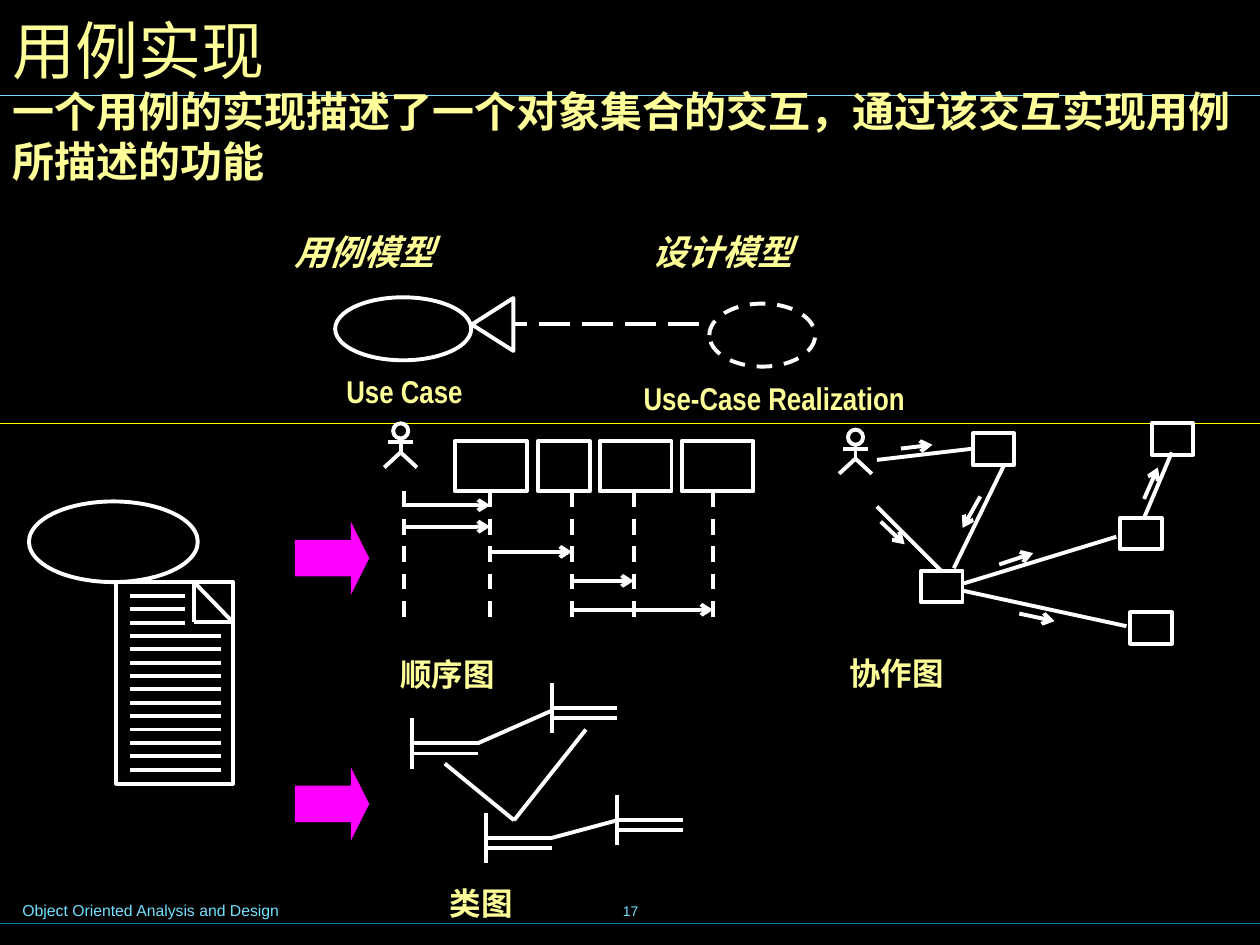
import pptx
import pptx.util
import pptx.dml.color
import pptx.enum.dml
import pptx.enum.shapes
import pptx.enum.text
import pptx.oxml
import pptx.oxml.ns

PX = 9144  # EMU per px, 100 px to the inch
COLORS = {"back": "000000", "ink": "FFFFFF", "text": "FFFF99", "rule": "73E1FF",
          "foot_rule": "007E9F", "divider": "FFFF00", "arrow": "FF00FF"}
SHAPE = pptx.enum.shapes.MSO_SHAPE
DASH = pptx.enum.dml.MSO_LINE
LABEL = {"size": 18, "bold": True, "name": "Arial Narrow"}
HEADING = {"size": 20, "bold": True, "italic": True, "name": "Arial Narrow"}


def color(name):
    return pptx.dml.color.RGBColor.from_string(COLORS[name])


def px(*values):
    return [round(value * PX) for value in values]


def style_line(line, ink="ink", width=2.25, dash=None):
    line.color.rgb = color(ink)
    line.width = pptx.util.Pt(width)
    if dash:
        line.dash_style = dash


def add_text(page, box, area, text, font, ink="text", wrap=True, grow=True,
             align=None, anchor=None):
    """Place one paragraph in an area measured from the box corner."""
    left, top, width, height = area
    label = page.shapes.add_textbox(*px(box[0] + left, box[1] + top, width, height))
    frame = label.text_frame
    sizing = pptx.enum.text.MSO_AUTO_SIZE
    settings = {"word_wrap": wrap, "vertical_anchor": anchor,
                "auto_size": sizing.SHAPE_TO_FIT_TEXT if grow else sizing.NONE}
    for key, value in settings.items():
        setattr(frame, key, value)
    para = frame.paragraphs[0]
    para.alignment = align
    span = para.add_run()
    span.text = text
    for key, value in font.items():
        setattr(span.font, key, pptx.util.Pt(value) if key == "size" else value)
    span.font.color.rgb = color(ink)


def add_outline(page, box, kind, area, dash=None):
    left, top, width, height = area
    shape = page.shapes.add_shape(kind, *px(box[0] + left, box[1] + top, width, height))
    shape.shadow.inherit = False
    shape.fill.background()
    style_line(shape.line, dash=dash)
    return shape


def add_line(page, box, x1, y1, x2, y2, arrow=False, **style):
    x, y = box[:2]
    line = page.shapes.add_connector(pptx.enum.shapes.MSO_CONNECTOR.STRAIGHT,
                                     *px(x + x1, y + y1, x + x2, y + y2))
    style_line(line.line, **style)
    if arrow:
        tail = pptx.oxml.parse_xml(
            f'<a:tailEnd {pptx.oxml.ns.nsdecls("a")} type="arrow"/>')
        line.line._get_or_add_ln().append(tail)
    effects = pptx.oxml.parse_xml(f'<a:effectLst {pptx.oxml.ns.nsdecls("a")}/>')
    line._element.spPr.append(effects)


def draw_actor(page, box):
    add_outline(page, box, SHAPE.OVAL, (7, 0, 12, 12))
    add_line(page, box, 13, 12, 13, 23)
    add_line(page, box, 3, 15, 23, 15)
    legs = [px(box[0] + x, box[1] + y) for x, y in ((0, 35), (13, 23), (26, 35))]
    builder = page.shapes.build_freeform(*legs[0])
    builder.add_line_segments(legs[1:], close=False)
    shape = builder.convert_to_shape()
    shape.shadow.inherit = False
    shape.fill.background()
    style_line(shape.line)


def draw_frame(page, box):
    """Title, summary, footer and the horizontal rules."""
    width = box[2]
    align = pptx.enum.text.PP_ALIGN.CENTER
    middle = pptx.enum.text.MSO_ANCHOR.MIDDLE
    add_text(page, box, (8, 710, 510, 25), "Object Oriented Analysis and Design",
             {"size": 9, "name": "Arial"}, "rule")
    add_text(page, box, (342, 698, 317, 50), "17", {"size": 8, "name": "Arial"}, "rule",
             wrap=False, grow=False, align=align, anchor=middle)
    for y, ink in ((733, "foot_rule"), (76, "rule"), (336, "divider")):
        add_line(page, box, 0, y, width, y, ink=ink, width=0.75)
    add_text(page, box, (0, 0, 993, 78), "用例实现",
             {"size": 36, "name": "Times New Roman"}, grow=False, anchor=middle)
    add_text(page, box, (0, 63, width, 90),
             "一个用例的实现描述了一个对象集合的交互，通过该交互实现用例所描述的功能",
             {**LABEL, "size": 24})


def draw_models(page, box):
    """Use case on the left, realized by the dashed oval on the right."""
    add_text(page, box, (0, 0, 283, 44), "用例模型", HEADING)
    add_text(page, box, (284, 0, 220, 44), "设计模型", HEADING)
    add_outline(page, box, SHAPE.OVAL, (42, 58, 108, 50))
    add_outline(page, box, SHAPE.OVAL, (339, 63, 84, 50), dash=DASH.DASH)
    add_line(page, box, 331, 79, 182, 79, dash=DASH.LONG_DASH)
    head = add_outline(page, box, SHAPE.ISOSCELES_TRIANGLE, (146, 63, 42, 33))
    head.rotation = 270
    add_text(page, box, (41, 112, 112, 40), "Use Case", LABEL, wrap=False)
    add_text(page, box, (277, 118, 227, 40), "Use-Case Realization", LABEL, wrap=False)


def draw_document(page, box):
    """Use case oval with its written description."""
    add_outline(page, box, SHAPE.OVAL, (0, 0, 134, 64))
    add_outline(page, box, SHAPE.RECTANGLE, (69, 64, 93, 160))
    for fold in ((131, 64, 162, 96), (131, 64, 131, 96), (162, 96, 131, 96)):
        add_line(page, box, *fold)
    for row in range(14):
        y = 75 + row * 10.6
        add_line(page, box, 80, y, 124 if row < 3 else 152, y)


def draw_sequence(page, box):
    draw_actor(page, box)
    for left, width in ((56, 57), (122, 41), (171, 57), (236, 57)):
        add_outline(page, box, SHAPE.RECTANGLE, (left, 14, width, 40))
    lifelines = (16, 84, 149, 198, 261)
    for x in lifelines:
        add_line(page, box, x, 54, x, 159, dash=DASH.DASH)
    for source, target, y in ((0, 1, 65), (0, 1, 82), (1, 2, 102), (2, 3, 125), (2, 4, 148)):
        add_line(page, box, lifelines[source], y, lifelines[target], y, arrow=True)
    add_text(page, box, (3, 179, 287, 40), "顺序图", LABEL)


def draw_collaboration(page, box):
    draw_actor(page, (box[0], box[1] + 5))
    links = ((30, 66, 81, 117), (30, 29, 107, 20), (99, 133, 228, 161),
             (99, 127, 220, 90), (242, 75, 264, 23), (131, 33, 91, 115))
    messages = ((33, 78, 52, 96), (112, 58, 98, 83), (127, 112, 154, 103),
                (143, 151, 171, 157), (242, 60, 253, 35), (49, 20, 74, 17))
    for link in links:
        add_line(page, box, *link)
    for message in messages:
        add_line(page, box, *message, arrow=True)
    for left, top in ((106, 8), (65, 117), (231, 150), (223, 75), (248, 0)):
        add_outline(page, box, SHAPE.RECTANGLE, (left, top, 33, 25))
    add_text(page, box, (-2, 178, 287, 40), "协作图", LABEL)


def draw_classes(page, box):
    for left, top in ((0, 28), (111, 0), (59, 103), (163, 89)):
        add_line(page, box, left, top, left, top + 40)
        for y in (top + 20, top + 28):
            add_line(page, box, left, y, left + 52, y)
    for link in ((81, 109, 26, 64), (52, 48, 111, 22), (111, 123, 163, 109), (81, 109, 138, 37)):
        add_line(page, box, *link)
    add_text(page, box, (20, 155, 70, 40), "类图", LABEL, wrap=False)


def draw_block_arrow(page, box):
    arrow = page.shapes.add_shape(SHAPE.RIGHT_ARROW, *px(*box))
    arrow.shadow.inherit = False
    arrow.fill.solid()
    arrow.fill.fore_color.rgb = color("arrow")
    arrow.line.fill.background()
    arrow.adjustments[0] = 0.5
    arrow.adjustments[1] = 0.25


def main():
    deck = pptx.Presentation()
    deck.slide_width, deck.slide_height = px(1000, 750)
    page = deck.slides.add_slide(deck.slide_layouts[6])
    page.background.fill.solid()
    page.background.fill.fore_color.rgb = color("back")
    draw_frame(page, (0, 0, 1000, 750))
    draw_models(page, (224, 178, 504, 158))
    draw_document(page, (23, 398, 162, 224))
    for top in (414, 609):
        draw_block_arrow(page, (234, top, 59, 58))
    draw_sequence(page, (305, 336, 293, 219))
    draw_collaboration(page, (666, 336, 285, 218))
    draw_classes(page, (327, 542, 216, 195))
    deck.save("out.pptx")


if __name__ == "__main__":
    main()
